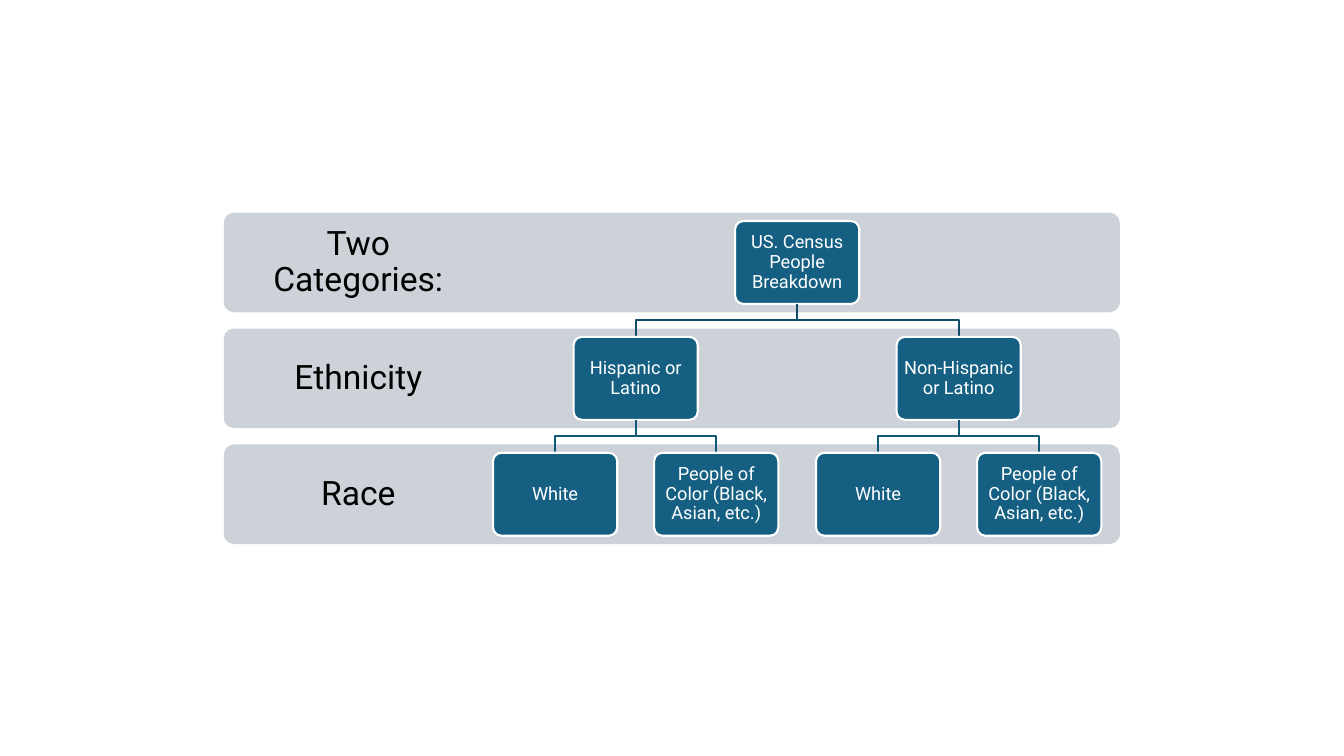
from pptx import Presentation
from pptx.dml.color import RGBColor as Rgb
from pptx.enum.shapes import MSO_SHAPE as Shape
from pptx.enum.text import MSO_ANCHOR as Anchor, PP_ALIGN as Align
from pptx.util import Cm, Pt

COLORS = {
    "band": "CCD2D8",
    "box": "156082",
    "white": "FFFFFF",
    "black": "000000",
    "ethnicity_line": "114D68",
    "race_line": "135776",
}
LINE_COLORS = ["ethnicity_line", "race_line"]

BAND_LEFT, BAND_TOP, BAND_WIDTH, BAND_HEIGHT = 5.64, 5.36, 22.58, 2.51
LABEL_WIDTH = 6.78
ROW_PITCH = 2.92
BOX_WIDTH, BOX_HEIGHT = 3.13, 2.09
BOX_TOP = BAND_TOP + (BAND_HEIGHT - BOX_HEIGHT) / 2
ROOT_CENTER = 20.09
CHILD_OFFSETS = [4.07, 2.03]

BAND_LABELS = ["Two Categories:", "Ethnicity", "Race"]
RACES = [("White", []), ("People of Color (Black, Asian, etc.)", [])]
CENSUS = ("US. Census People Breakdown", [
    ("Hispanic or Latino", RACES),
    ("Non-Hispanic or Latino", RACES),
])


class Diagram:
    font = "Roboto"
    line_width = Pt(1.5)
    corner = 0.1

    def __init__(self, page):
        self.shapes = page.shapes.add_group_shape().shapes

    def color(self, name):
        return Rgb.from_string(COLORS[name])

    def caption(self, shape, text, size, color, inset):
        frame = shape.text_frame
        frame_format = {"word_wrap": True, "vertical_anchor": Anchor.MIDDLE}
        for side in ("left", "top", "right", "bottom"):
            frame_format[f"margin_{side}"] = Cm(inset)
        for name, value in frame_format.items():
            setattr(frame, name, value)
        para = frame.paragraphs[0]
        for name, value in {"alignment": Align.CENTER, "line_spacing": 0.9}.items():
            setattr(para, name, value)
        span = para.add_run()
        span.text = text
        for name, value in {"name": self.font, "size": Pt(size)}.items():
            setattr(span.font, name, value)
        span.font.color.rgb = self.color(color)

    def panel(self, left, top, width, height, fill):
        panel = self.shapes.add_shape(
            Shape.ROUNDED_RECTANGLE, Cm(left), Cm(top), Cm(width), Cm(height))
        panel.adjustments[0] = self.corner
        panel.shadow.inherit = False
        panel.fill.solid()
        panel.fill.fore_color.rgb = self.color(fill)
        return panel

    def outline(self, shape, color):
        shape.line.color.rgb = self.color(color)
        shape.line.width = self.line_width

    def band(self, row, text):
        top = BAND_TOP + row * ROW_PITCH
        band = self.panel(BAND_LEFT, top, BAND_WIDTH, BAND_HEIGHT, "band")
        band.line.fill.background()
        label = self.shapes.add_textbox(
            Cm(BAND_LEFT), Cm(top), Cm(LABEL_WIDTH), Cm(BAND_HEIGHT))
        self.caption(label, text, 24, "black", 0.48)

    def box(self, center, row, text):
        box = self.panel(center - BOX_WIDTH / 2, BOX_TOP + row * ROW_PITCH,
                         BOX_WIDTH, BOX_HEIGHT, "box")
        self.outline(box, "white")
        self.caption(box, text, 13, "white", 0.13)

    def branch(self, start, end, row):
        top = BOX_TOP + row * ROW_PITCH + BOX_HEIGHT
        bottom = BOX_TOP + (row + 1) * ROW_PITCH
        middle = (top + bottom) / 2
        corners = [(start, middle), (end, middle), (end, bottom)]
        builder = self.shapes.build_freeform(Cm(start), Cm(top))
        builder.add_line_segments([(Cm(x), Cm(y)) for x, y in corners], close=False)
        branch = builder.convert_to_shape()
        branch.shadow.inherit = False
        branch.fill.background()
        self.outline(branch, LINE_COLORS[row])

    def tree(self, node, center, row=0):
        text, children = node
        self.box(center, row, text)
        for child, side in zip(children, (-1, 1)):
            child_center = center + side * CHILD_OFFSETS[row]
            self.branch(center, child_center, row)
            self.tree(child, child_center, row + 1)


def main():
    deck = Presentation()
    deck.slide_width, deck.slide_height = Cm(33.87), Cm(19.05)
    diagram = Diagram(deck.slides.add_slide(deck.slide_layouts[6]))
    for row, label in enumerate(BAND_LABELS):
        diagram.band(row, label)
    diagram.tree(CENSUS, ROOT_CENTER)
    deck.save("out.pptx")


if __name__ == "__main__":
    main()
